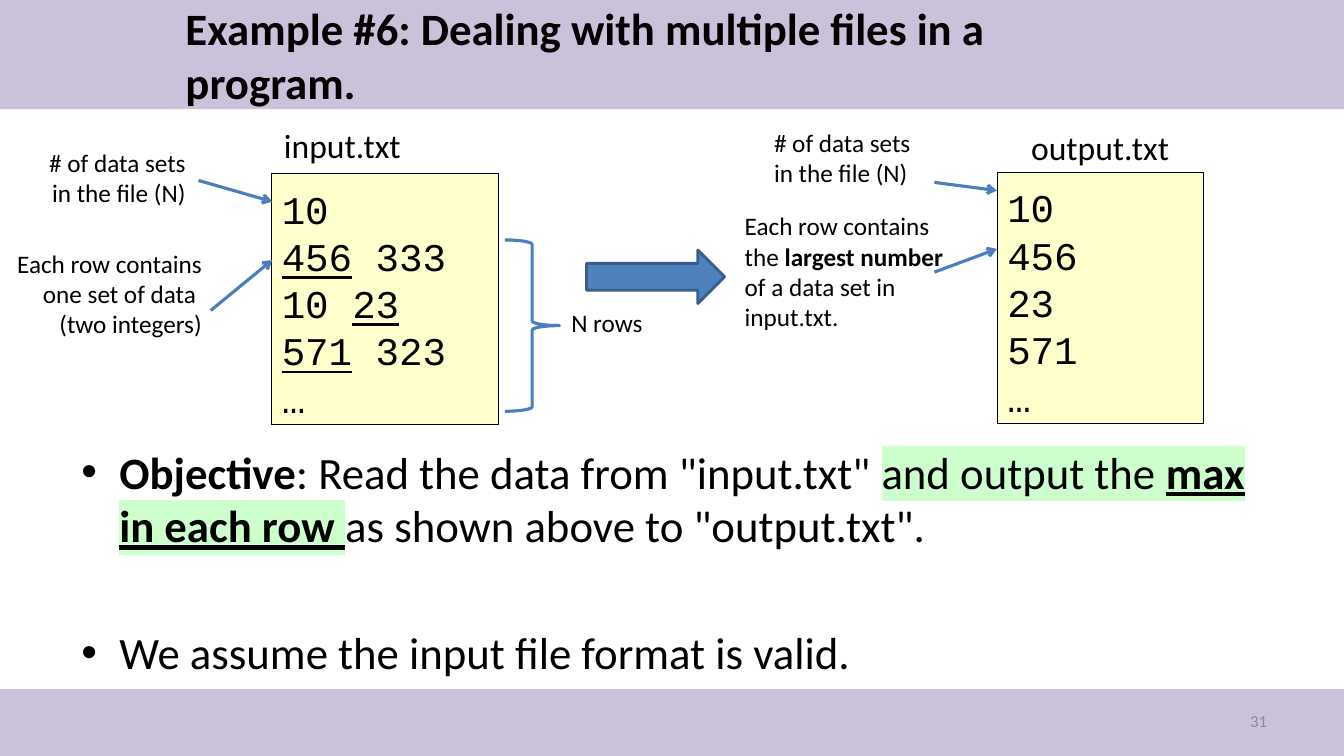
"""Build the slide on reading one file and writing the row maxima to another."""
from lxml.etree import SubElement
from pptx import Presentation
from pptx.dml.color import RGBColor
from pptx.enum.shapes import MSO_CONNECTOR, MSO_SHAPE
from pptx.enum.text import MSO_ANCHOR, PP_ALIGN
from pptx.oxml.ns import qn
from pptx.util import Pt

WIDTH, HEIGHT = 960, 540
LILAC, CREAM, MINT = "CCC1DA", "FFFFCC", "CCFFCC"
BLACK, GREY, BLUE = "000000", "8C8C8C", "4B7EBC"
LEFT, RIGHT = PP_ALIGN.LEFT, PP_ALIGN.RIGHT

TITLE = "Example #6: Dealing with multiple files in a program."
BANDS = [(0, 0, WIDTH, 78), (0, 492, WIDTH, 48)]

# Each paragraph is a list of (text, marks): b bold, u underlined, h highlighted.
OBJECTIVES = [
    [("Objective", "b"), (': Read the data from "input.txt" ', ""), ("and output the ", "h"),
     ("max in each row ", "buh"), ('as shown above to "output.txt".', "")],
    [("We assume the input file format is valid.", "")],
]
FILES = [
    ((194.2, 124, 162, 179.3),
     [[("10", "")], [("456", "u"), (" 333", "")], [("10 ", ""), ("23", "u")],
      [("571", "u"), (" 323", "")], [("…", "")]]),
    ((712.4, 123.1, 147.6, 179.3),
     [[("10", "")], [("456", "")], [("23", "")], [("571", "")], [("…", "")]]),
]
FILE_NAMES = [("input.txt", (195.8, 85.7, 98.6, 36)), ("output.txt", (729.4, 87.1, 113.8, 36))]
COUNT_NOTE = [[("# of data sets in the file (N)", "")]]
NOTES = [
    ((20.2, 101.5, 119.5, 51), RIGHT, COUNT_NOTE),
    ((0.7, 173.5, 150.5, 73), RIGHT,
     [[("Each row contains one set of data ", "")], [("(two integers)", "")]]),
    ((401, 216, 75.6, 29), LEFT, [[("N rows", "")]]),
    ((524.9, 146.9, 160.6, 94.3), LEFT,
     [[("Each row contains the ", ""), ("largest number ", "b"),
       ("of a data set in input.txt.", "")]]),
    ((545.8, 87.1, 112.3, 51), LEFT, COUNT_NOTE),
]
POINTERS = [
    (141.8, 128.9, 194.4, 144), (150.5, 221.8, 194.4, 185.8),
    (667.4, 194.4, 712.1, 177.8), (667.4, 130.3, 712.1, 136.1),
]


def color(value):
    return RGBColor.from_string(value)


def points(numbers):
    return [Pt(number) for number in numbers]


def write(frame, paragraphs, size, font="Calibri", ink=BLACK, align=LEFT):
    for index, spans in enumerate(paragraphs):
        para = frame.paragraphs[0] if index == 0 else frame.add_paragraph()
        para.alignment = align
        for text, marks in spans:
            span = para.add_run()
            span.text = text
            span.font.name = font
            span.font.size = Pt(size)
            span.font.bold = "b" in marks
            span.font.underline = "u" in marks
            span.font.color.rgb = color(ink)
            if "h" in marks:
                properties = span.font._element
                highlight = SubElement(properties, qn("a:highlight"))
                SubElement(highlight, qn("a:srgbClr"), val=MINT)
                properties.find(qn("a:solidFill")).addnext(highlight)


def add_text(slide, place, paragraphs, size, wrap=True, **style):
    frame = slide.shapes.add_textbox(*points(place)).text_frame
    frame.word_wrap = wrap
    write(frame, paragraphs, size, **style)
    return frame


def add_shape(slide, kind, place, fill=None, line=None, weight=1):
    shape = slide.shapes.add_shape(kind, *points(place))
    shape.shadow.inherit = False
    if fill:
        shape.fill.solid()
        shape.fill.fore_color.rgb = color(fill)
    else:
        shape.fill.background()
    if line:
        shape.line.color.rgb = color(line)
        shape.line.width = Pt(weight)
    else:
        shape.line.fill.background()
    return shape


def add_file(slide, place, rows):
    page = add_shape(slide, MSO_SHAPE.RECTANGLE, place, CREAM, BLACK, 0.75)
    frame = page.text_frame
    frame.vertical_anchor = MSO_ANCHOR.TOP
    frame.margin_top = Pt(8)
    write(frame, rows, 28, font="Courier New")
    for para in frame.paragraphs:
        para.line_spacing = Pt(33.75)


def add_pointer(slide, ends):
    pointer = slide.shapes.add_connector(MSO_CONNECTOR.STRAIGHT, *points(ends))
    pointer.line.color.rgb = color(BLUE)
    pointer.line.width = Pt(2.25)
    SubElement(pointer.line._get_or_add_ln(), qn("a:tailEnd"), type="arrow")
    SubElement(pointer._element.spPr, qn("a:effectLst"))


def add_title(slide):
    title = slide.shapes.title
    slide.shapes.element.append(title.element)
    title.left, title.top, title.width, title.height = points((125.3, 5.8, 708.5, 66.2))
    title.text_frame.vertical_anchor = MSO_ANCHOR.MIDDLE
    write(title.text_frame, [[(TITLE, "b")]], 32)


def add_objectives(slide):
    frame = add_text(slide, (51.1, 313.9, 851, 177.8), OBJECTIVES, 32)
    for para in frame.paragraphs:
        properties = para._p.get_or_add_pPr()
        properties.set("marL", str(Pt(27)))
        properties.set("indent", str(Pt(-27)))
        SubElement(properties, qn("a:buFont"), typeface="Arial")
        SubElement(properties, qn("a:buChar"), char="•")
    frame.paragraphs[1].space_before = Pt(52)


def main():
    deck = Presentation()
    deck.slide_width, deck.slide_height = points((WIDTH, HEIGHT))
    slide = deck.slides.add_slide(deck.slide_layouts[5])
    for place in BANDS:
        add_shape(slide, MSO_SHAPE.RECTANGLE, place, LILAC)
    add_title(slide)
    add_objectives(slide)
    number = add_text(slide, (688.3, 500.4, 223.9, 28.8), [[("31", "")]], 12,
                      ink=GREY, align=RIGHT)
    number.vertical_anchor = MSO_ANCHOR.MIDDLE
    for place, rows in FILES:
        add_file(slide, place, rows)
    for name, place in FILE_NAMES:
        add_text(slide, place, [[(name, "")]], 24, wrap=False)
    add_shape(slide, MSO_SHAPE.RIGHT_BRACE, (360.7, 171.4, 38.9, 122.4), None, BLUE, 2.25)
    add_shape(slide, MSO_SHAPE.RIGHT_ARROW, (419, 178.6, 98.6, 38.2), "4F81BD", "3A5F8C", 2)
    for place, align, paragraphs in NOTES:
        add_text(slide, place, paragraphs, 18, align=align)
    for ends in POINTERS:
        add_pointer(slide, ends)
    deck.save("out.pptx")


if __name__ == "__main__":
    main()
